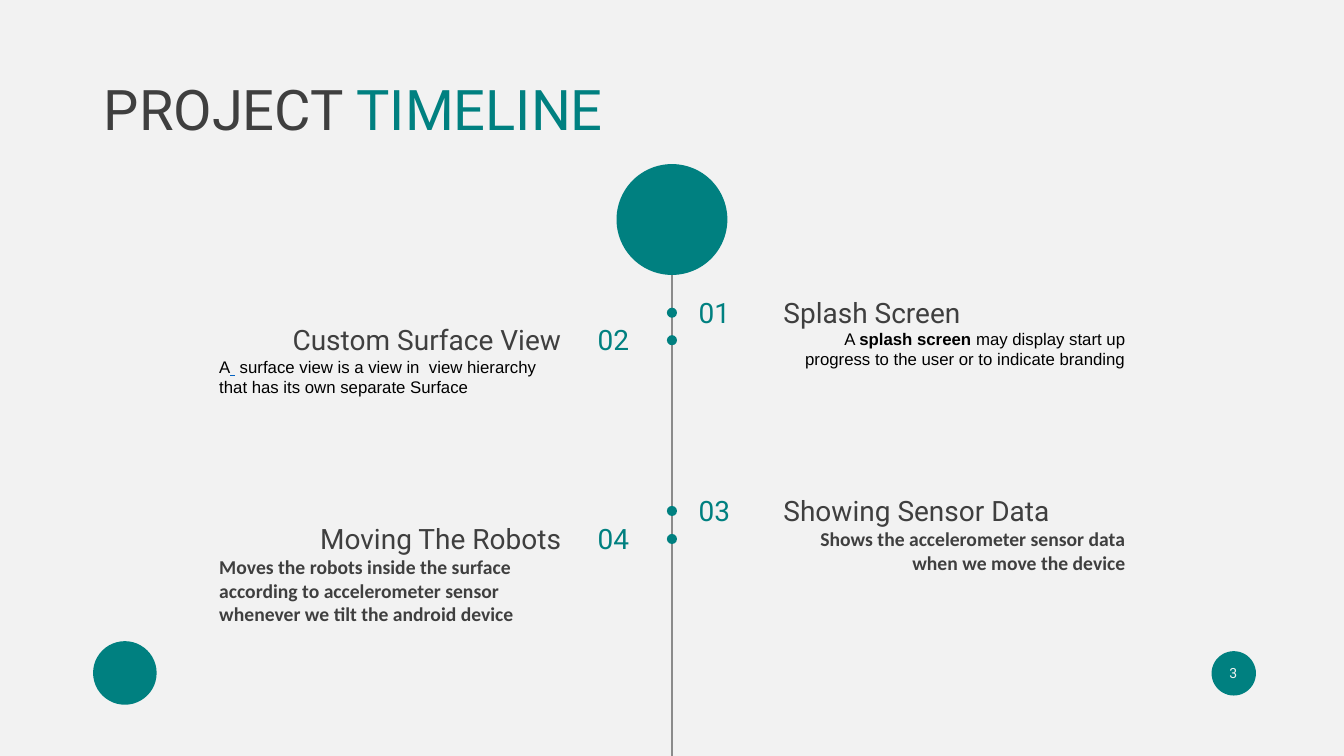
from lxml import etree
from pptx import Presentation
from pptx.dml.color import RGBColor
from pptx.enum.shapes import MSO_CONNECTOR, MSO_SHAPE
from pptx.enum.text import MSO_ANCHOR, MSO_AUTO_SIZE, PP_ALIGN
from pptx.oxml.ns import qn
from pptx.util import Pt

LEFT, CENTER, RIGHT, JUSTIFY = PP_ALIGN.LEFT, PP_ALIGN.CENTER, PP_ALIGN.RIGHT, PP_ALIGN.JUSTIFY
TOP, MIDDLE = MSO_ANCHOR.TOP, MSO_ANCHOR.MIDDLE
NO_FIT = MSO_AUTO_SIZE.NONE
OVAL = MSO_SHAPE.OVAL
STRAIGHT = MSO_CONNECTOR.STRAIGHT

TEAL, DARK, BLACK, PALE, GREY, BLUE = "008080", "3F3F3F", "000000", "F2F2F2", "8B8B8B", "0563C1"
AXIS = 480
NUMBER_WIDTH, TEXT_WIDTH = 60.5, 258.5
HEADING_HEIGHT, BODY_HEIGHT = 31.5, 65.5


def color(code):
    return RGBColor.from_string(code)


class TimelineSlide:
    heading = {"name": "Roboto", "size": Pt(20)}
    note = {"name": "Arial", "size": Pt(12)}
    strong_note = {"name": "Calibri", "size": Pt(14), "bold": True}

    def __init__(self, deck):
        self.page = deck.slides.add_slide(deck.slide_layouts[5])
        self.page.background.fill.solid()
        self.page.background.fill.fore_color.rgb = color(PALE)

    def fill_text(self, box, spans, style, align=LEFT, anchor=TOP):
        frame = box.text_frame
        settings = {"word_wrap": True, "auto_size": NO_FIT, "vertical_anchor": anchor}
        for key, value in settings.items():
            setattr(frame, key, value)
        para = frame.paragraphs[0]
        para.alignment = align
        for words, code, extra in spans:
            span = para.add_run()
            span.text = words
            span.font.color.rgb = color(code)
            for key, value in {**style, **extra}.items():
                setattr(span.font, key, value)

    def title(self, left, top, width, height, spans):
        box = self.page.shapes.title
        place = {"left": left, "top": top, "width": width, "height": height}
        for key, value in place.items():
            setattr(box, key, Pt(value))
        self.fill_text(box, spans, {"name": "Roboto", "size": Pt(40)})

    def text(self, left, top, width, height, spans, style, align=LEFT, anchor=TOP):
        box = self.page.shapes.add_textbox(Pt(left), Pt(top), Pt(width), Pt(height))
        self.fill_text(box, spans, style, align, anchor)

    def circle(self, x, y, size):
        shape = self.page.shapes.add_shape(OVAL, Pt(x - size / 2), Pt(y - size / 2), Pt(size), Pt(size))
        shape.shadow.inherit = False
        shape.fill.solid()
        shape.fill.fore_color.rgb = color(TEAL)
        shape.line.fill.background()

    def line(self, x, top, bottom):
        connector = self.page.shapes.add_connector(STRAIGHT, Pt(x), Pt(top), Pt(x), Pt(bottom))
        connector.line.color.rgb = color(GREY)
        connector.line.width = Pt(1.5)
        etree.SubElement(connector._element.spPr, qn("a:effectLst"))

    def milestone(self, number, top, on_right, heading, body, body_style):
        if on_right:
            number_left, text_left = AXIS + 12, AXIS + 72.5
            number_align, heading_align, body_align = LEFT, JUSTIFY, RIGHT
        else:
            number_left, text_left = AXIS - 72, AXIS - 330.5
            number_align, heading_align, body_align = CENTER, RIGHT, LEFT
        self.circle(AXIS, top + 16, 7.2)
        self.text(number_left, top, NUMBER_WIDTH, HEADING_HEIGHT,
                  [(f"{number:02}", TEAL, {})], self.heading, number_align)
        self.text(text_left, top, TEXT_WIDTH, HEADING_HEIGHT,
                  [(heading, DARK, {})], self.heading, heading_align)
        self.text(text_left, top + 24, TEXT_WIDTH, BODY_HEIGHT, body, body_style, body_align)


def main():
    deck = Presentation()
    deck.slide_width, deck.slide_height = Pt(960), Pt(540)
    timeline = TimelineSlide(deck)

    timeline.title(67, 49.7, 831, 55.4, [("PROJECT ", DARK, {}), ("TIMELINE", TEAL, {})])
    timeline.circle(89.2, 480.7, 45.4)
    timeline.circle(881.3, 481, 31.7)
    timeline.text(866.9, 471, 28, 19.4, [("3", PALE, {})],
                  {"name": "Roboto", "size": Pt(10)}, CENTER, MIDDLE)
    timeline.line(AXIS, 193.7, 540)
    timeline.circle(AXIS, 156.8, 79.2)

    milestones = [
        (207.4, "Splash Screen", timeline.note, [
            ("A ", BLACK, {}),
            ("splash screen", BLACK, {"bold": True}),
            (" may display start up progress to the user or to indicate branding", BLACK, {})]),
        (227, "Custom Surface View", timeline.note, [
            ("A", BLACK, {}),
            (" ", BLUE, {"underline": True}),
            (" surface view is a view in  view hierarchy that has its own separate Surface", BLACK, {})]),
        (349, "Showing Sensor Data", timeline.strong_note, [
            ("Shows the accelerometer sensor data when we move the device", DARK, {})]),
        (369, "Moving The Robots", timeline.strong_note, [
            ("Moves the robots inside the surface according to accelerometer sensor "
             "whenever we tilt the android device", DARK, {})]),
    ]
    for number, (top, heading, style, body) in enumerate(milestones, 1):
        timeline.milestone(number, top, number % 2 == 1, heading, body, style)

    deck.save("out.pptx")


if __name__ == "__main__":
    main()
